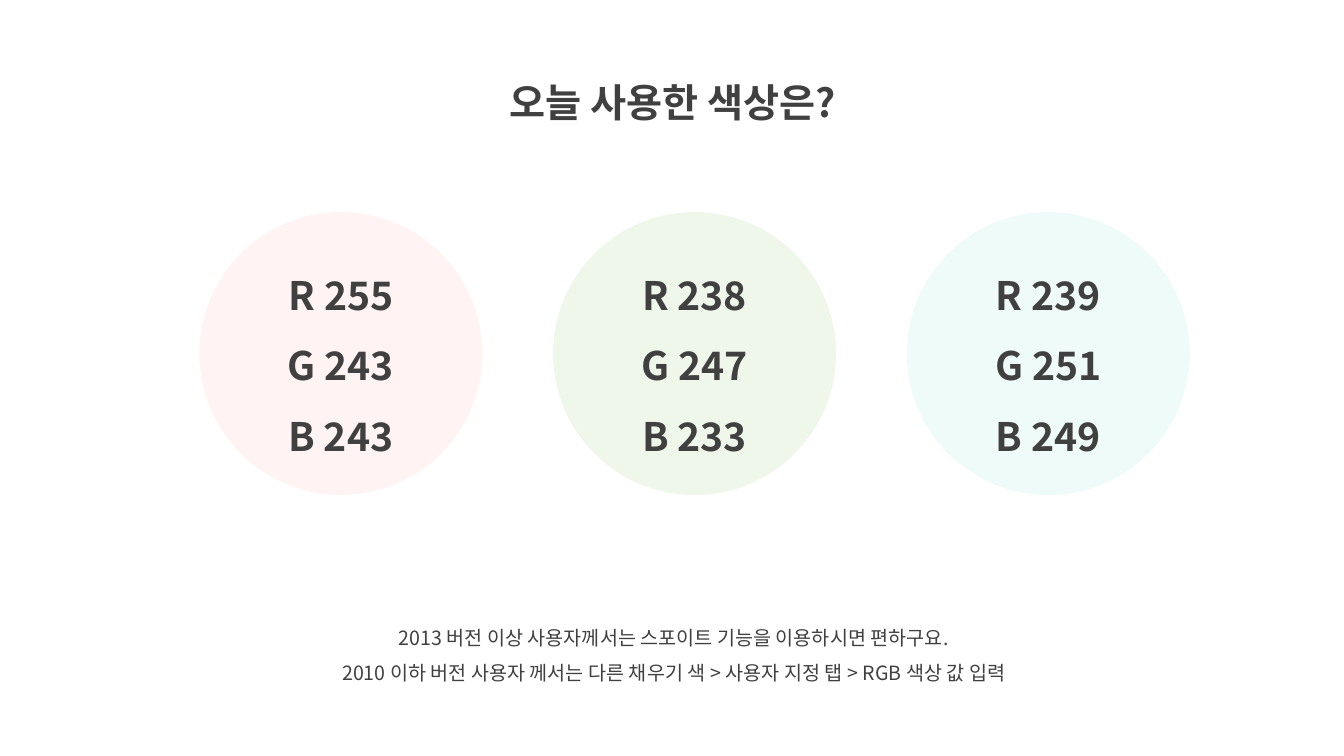
from pptx import Presentation
from pptx.dml.color import RGBColor
from pptx.enum.shapes import MSO_SHAPE
from pptx.enum.text import MSO_ANCHOR, MSO_AUTO_SIZE, PP_ALIGN
from pptx.oxml.ns import qn
from pptx.util import Inches, Pt
from lxml.etree import SubElement

WIDE, HIGH = 13.33, 7.5
COLS = 19  # square grid: columns and rows share one unit
COLORS = {"text": "404040", "pink": "FFF3F3", "green": "EEF7E9", "mint": "EFFBF9"}


class Deck:
    """Holds the style and the current slide."""

    font = "Noto Sans CJK KR"
    space = 1.5

    def __init__(self, slide):
        self.slide = slide

    def box(self, *cells):
        return [Inches(cell * WIDE / COLS) for cell in cells]

    def fill(self, frame, lines, size, bold):
        frame.word_wrap = True
        for i, line in enumerate(lines):
            para = frame.paragraphs[0] if i == 0 else frame.add_paragraph()
            para.alignment = PP_ALIGN.CENTER
            para.line_spacing = self.space
            run = para.add_run()
            run.text = line
            font = run.font
            font.name, font.size, font.bold = self.font, Pt(size), bold
            font.color.rgb = RGBColor.from_string(COLORS["text"])
            # Korean letters take the East Asian font slot
            SubElement(run._r.get_or_add_rPr(), qn("a:ea"), typeface=self.font)

    def text(self, cells, lines, size, bold=False):
        frame = self.slide.shapes.add_textbox(*self.box(*cells)).text_frame
        self.fill(frame, lines, size, bold)
        frame.auto_size = MSO_AUTO_SIZE.SHAPE_TO_FIT_TEXT

    def disc(self, cells, color, lines, size):
        disc = self.slide.shapes.add_shape(MSO_SHAPE.OVAL, *self.box(*cells))
        disc.shadow.inherit = False
        disc.fill.solid()
        disc.fill.fore_color.rgb = RGBColor.from_string(COLORS[color])
        disc.line.fill.background()
        disc.text_frame.vertical_anchor = MSO_ANCHOR.MIDDLE
        self.fill(disc.text_frame, lines, size, True)


show = Presentation()
show.slide_width, show.slide_height = Inches(WIDE), Inches(HIGH)
deck = Deck(show.slides.add_slide(show.slide_layouts[6]))

# Title
deck.text((6.21, 0.71, 6.6, 1.03), ["오늘 사용한 색상은?"], 28, bold=True)

# Colour discs, each labelled with its own RGB values
SIDE, GAP = 4, 1
for i, name in enumerate(("pink", "green", "mint")):
    rgb = RGBColor.from_string(COLORS[name])
    labels = [f"{key} {value}" for key, value in zip("RGB", rgb)]
    deck.disc((2.82 + i * (SIDE + GAP), 3, SIDE, SIDE), name, labels, 28)

# Tips
deck.text((3.83, 8.61, 11.39, 1.15), [
    "2013 버전 이상 사용자께서는 스포이트 기능을 이용하시면 편하구요.",
    "2010 이하 버전 사용자 께서는 다른 채우기 색 > 사용자 지정 탭 > RGB 색상 값 입력",
], 14)

show.save("out.pptx")
